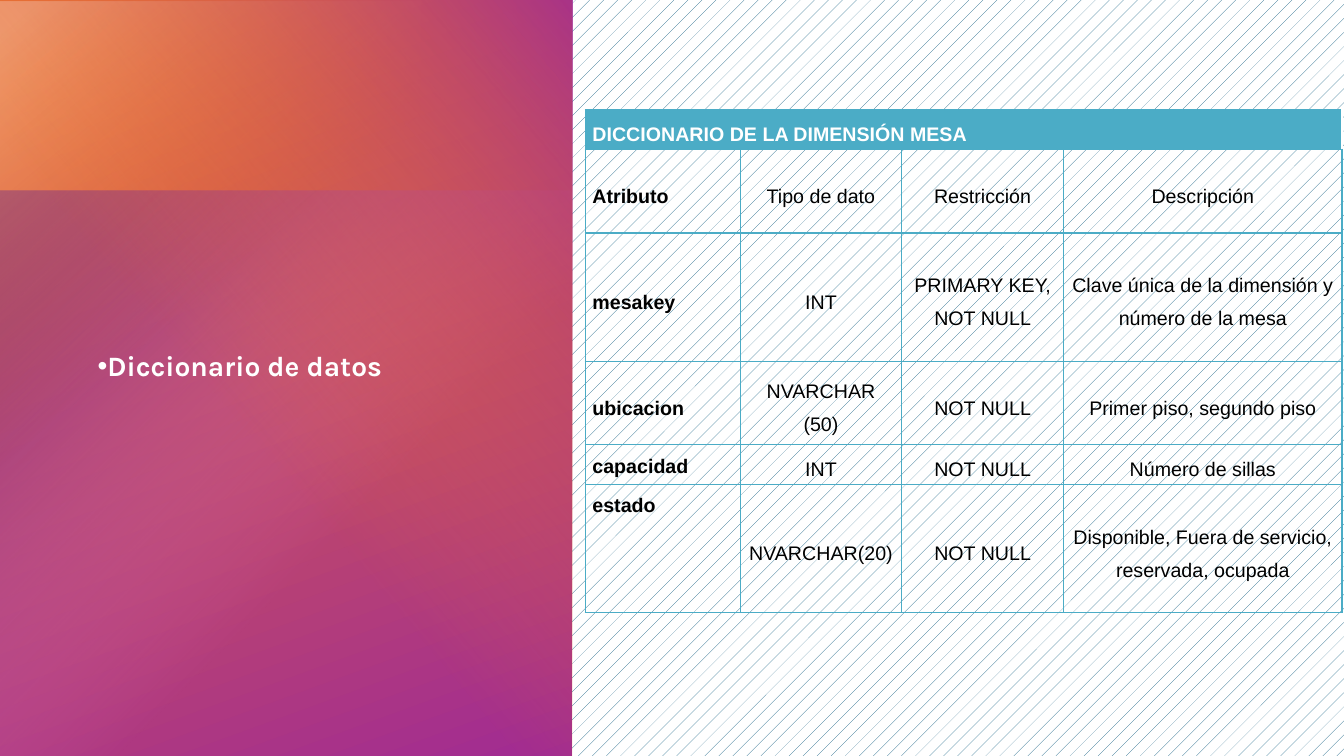
import pptx
import pptx.util
import pptx.dml.color
import pptx.enum.dml
import pptx.enum.shapes
import pptx.enum.text
import pptx.oxml
import pptx.oxml.ns
import lxml.etree

Cm, Pt = pptx.util.Cm, pptx.util.Pt
ALIGN = pptx.enum.text.PP_ALIGN
ANCHOR = pptx.enum.text.MSO_ANCHOR

# Content
HEADING = "Diccionario de datos"
TABLE_TITLE = "DICCIONARIO DE LA DIMENSIÓN MESA"
ROWS = [
    ("Atributo", "Tipo de dato", "Restricción", "Descripción"),
    ("mesakey", "INT", "PRIMARY KEY, NOT NULL", "Clave única de la dimensión y número de la mesa"),
    ("ubicacion", "NVARCHAR (50)", "NOT NULL", "Primer piso, segundo piso"),
    ("capacidad", "INT", "NOT NULL", "Número de sillas"),
    ("estado", "NVARCHAR(20)", "NOT NULL", "Disponible, Fuera de servicio, reservada, ocupada"),
]
TOP_NAMES = ("capacidad", "estado")
COLUMN_WIDTHS = [3.91, 4.06, 4.09, 7.01]
ROW_HEIGHTS = [0.99, 2.11, 3.23, 2.11, 0.99, 3.23]

COLORS = {
    "white": "FFFFFF", "black": "000000", "pattern": "156082", "teal": "4BACC6",
    "orange": "E97132", "peach": "F2AA84", "purple": "A02B93",
    "plum": "78206E", "orchid": "D86ECC",
}

# Panel layers: left, top, width, height, rotation, angle (None = radial),
# stops as (position %, colour, opacity %)
LAYERS = [
    (-0.05, 0, 14.45, 19.13, 0, 70, [(7, "orange", 100), (100, "purple", 100)]),
    (-0.05, 4.8, 14.45, 14.3, 180, None, [(0, "plum", 100), (60, "orchid", 0)]),
    (-0.05, 0.03, 10.64, 19.1, 0, 50, [(3, "peach", 78), (42, "orange", 0)]),
    (-2.34, 2.31, 19.1, 14.45, 270, 230, [(0, "purple", 86), (57, "orange", 0)]),
]


def rgb(name):
    return pptx.dml.color.RGBColor.from_string(COLORS[name])


def add_child(parent, tag, **attributes):
    child = lxml.etree.SubElement(parent, pptx.oxml.ns.qn(tag))
    for key, value in attributes.items():
        child.set(key, str(value))
    return child


def set_gradient(shape, stops, angle):
    shape.fill.gradient()
    gradient = shape._element.spPr.find(pptx.oxml.ns.qn("a:gradFill"))
    for child in list(gradient):
        gradient.remove(child)
    gradient.set("rotWithShape", "1")
    stop_list = add_child(gradient, "a:gsLst")
    for position, color, opacity in stops:
        stop = add_child(stop_list, "a:gs", pos=position * 1000)
        value = add_child(stop, "a:srgbClr", val=COLORS[color])
        if opacity < 100:
            add_child(value, "a:alpha", val=opacity * 1000)
    if angle is None:
        radial = add_child(gradient, "a:path", path="circle")
        add_child(radial, "a:fillToRect", r=100000, b=100000)
    else:
        add_child(gradient, "a:lin", ang=angle * 60000, scaled=0)


def add_text(para, text, size, font, color, bold):
    span = para.add_run()
    span.text = text
    span.font.size = Pt(size)
    span.font.name = font
    span.font.bold = bold
    span.font.color.rgb = rgb(color)


def set_borders(cell, right="teal"):
    properties = cell._tc.get_or_add_tcPr()
    sides = {"a:lnL": "teal", "a:lnR": right, "a:lnT": "teal", "a:lnB": "teal"}
    for index, (tag, color) in enumerate(sides.items()):
        line = add_child(properties, tag, w=Pt(1))
        add_child(add_child(line, "a:solidFill"), "a:srgbClr", val=COLORS[color])
        properties.insert(index, line)


def fill_cell(cell, text, align, color="black", bold=False, anchor=ANCHOR.MIDDLE):
    cell.margin_left = cell.margin_right = Cm(0.18)
    cell.margin_top = cell.margin_bottom = 0
    cell.vertical_anchor = anchor
    para = cell.text_frame.paragraphs[0]
    para.alignment = align
    para.line_spacing = 1.5
    para.space_after = Pt(3)
    add_text(para, text, 14, "Arial", color, bold)


def main():
    deck = pptx.Presentation()
    deck.slide_width, deck.slide_height = Cm(33.87), Cm(19.05)
    page = deck.slides.add_slide(deck.slide_layouts[6])

    # Hatched background
    backdrop = page.background.fill
    backdrop.patterned()
    backdrop.pattern = pptx.enum.dml.MSO_PATTERN.PERCENT_5
    backdrop.fore_color.rgb = rgb("pattern")
    backdrop.back_color.rgb = rgb("white")

    # Gradient panel
    panel = page.shapes.add_group_shape()
    for left, top, width, height, rotation, angle, stops in LAYERS:
        layer = panel.shapes.add_shape(pptx.enum.shapes.MSO_SHAPE.RECTANGLE,
                                       Cm(left), Cm(top), Cm(width), Cm(height))
        layer.rotation = rotation
        layer.shadow.inherit = False
        layer.line.fill.background()
        set_gradient(layer, stops, angle)

    # Heading
    box = page.shapes.add_textbox(Cm(2.21), Cm(8.76), Cm(10.29), Cm(2.26))
    box.text_frame.word_wrap = True
    para = box.text_frame.paragraphs[0]
    properties = para._p.get_or_add_pPr()
    properties.set("marL", "0")
    properties.set("indent", str(-Cm(0.64)))
    para.line_spacing = 0.9
    para.space_after = Pt(6)
    add_child(properties, "a:buFont", typeface="Arial")
    add_child(properties, "a:buChar", char="•")
    add_text(para, HEADING, 20, "Karla", "white", True)

    # Data dictionary table
    frame = page.shapes.add_table(len(ROW_HEIGHTS), len(COLUMN_WIDTHS), Cm(14.75), Cm(2.77),
                                  Cm(sum(COLUMN_WIDTHS)), Cm(sum(ROW_HEIGHTS)))
    table = frame.table
    table.first_row = table.horz_banding = False
    for column, width in zip(table.columns, COLUMN_WIDTHS):
        column.width = Cm(width)
    for row, height in zip(table.rows, ROW_HEIGHTS):
        row.height = Cm(height)

    title = table.cell(0, 0)
    title.merge(table.cell(0, len(COLUMN_WIDTHS) - 1))
    fill_cell(title, TABLE_TITLE, ALIGN.JUSTIFY, "white", True)
    title.fill.solid()
    title.fill.fore_color.rgb = rgb("teal")
    set_borders(title, "white")

    for row_index, values in enumerate(ROWS, start=1):
        for column_index, text in enumerate(values):
            cell = table.cell(row_index, column_index)
            if column_index:
                fill_cell(cell, text, ALIGN.CENTER)
            elif text in TOP_NAMES:
                fill_cell(cell, text, ALIGN.LEFT, bold=True, anchor=ANCHOR.TOP)
            else:
                fill_cell(cell, text, ALIGN.JUSTIFY, bold=True)
            cell.fill.background()
            set_borders(cell)

    deck.save("out.pptx")


if __name__ == "__main__":
    main()
